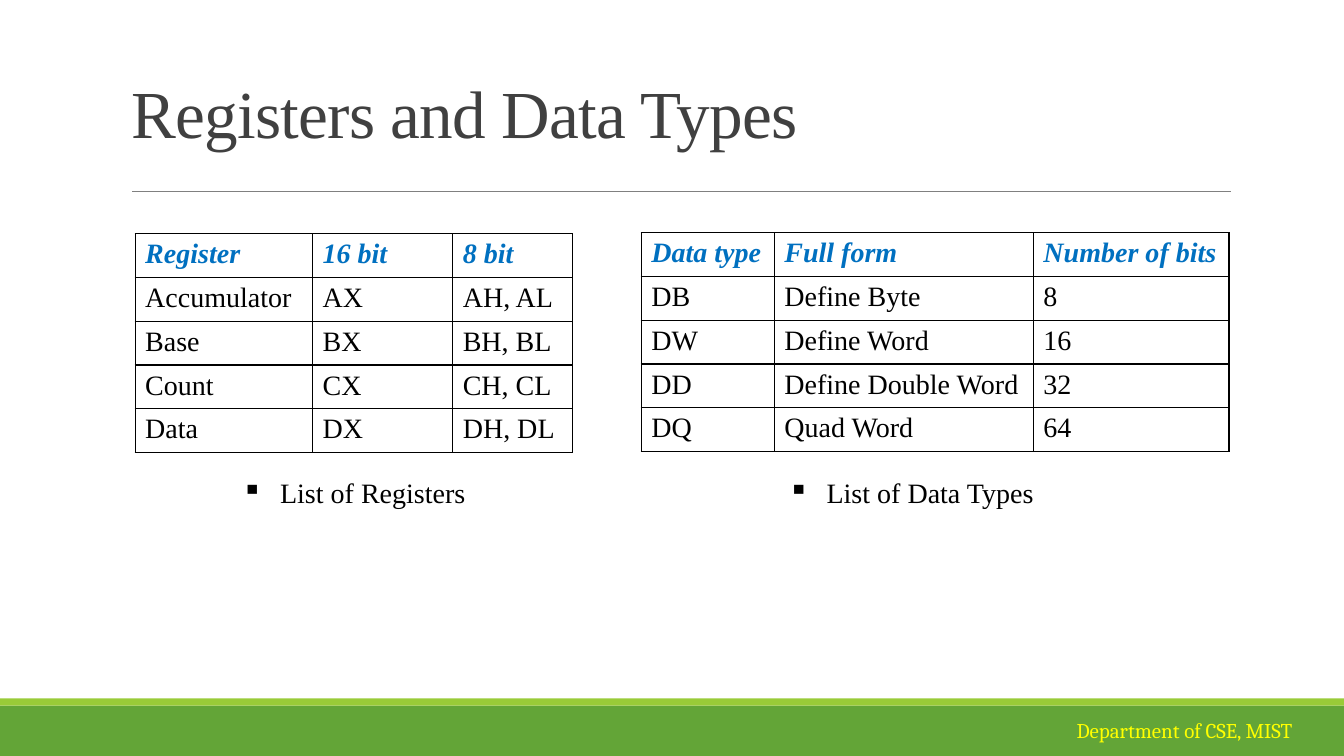
from lxml import etree
from pptx import Presentation
from pptx.dml.color import RGBColor
from pptx.enum.shapes import MSO_CONNECTOR, MSO_SHAPE
from pptx.enum.text import MSO_ANCHOR, MSO_AUTO_SIZE, PP_ALIGN
from pptx.oxml import parse_xml
from pptx.oxml.ns import nsdecls, qn
from pptx.util import Inches, Pt

RECT = MSO_SHAPE.RECTANGLE
STRAIGHT = MSO_CONNECTOR.STRAIGHT
BOTTOM = MSO_ANCHOR.BOTTOM
NO_FIT, GROW = MSO_AUTO_SIZE.NONE, MSO_AUTO_SIZE.SHAPE_TO_FIT_TEXT
LEFT = PP_ALIGN.LEFT

WIDTH, HEIGHT = 13.33, 7.5
SERIF = "Times New Roman"
BLACK, WHITE, BLUE = "000000", "FFFFFF", "0070C0"

REGISTERS = [
    ("Register", "16 bit", "8 bit"),
    ("Accumulator", "AX", "AH, AL"),
    ("Base", "BX", "BH, BL"),
    ("Count", "CX", "CH, CL"),
    ("Data", "DX", "DH, DL"),
]
DATA_TYPES = [
    ("Data type", "Full form", "Number of bits"),
    ("DB", "Define Byte", "8"),
    ("DW", "Define Word", "16"),
    ("DD", "Define Double Word", "32"),
    ("DQ", "Quad Word", "64"),
]


def rgb(color):
    """Turn a hex string into a colour."""
    return RGBColor.from_string(color)


def inches(box):
    """Turn a box given in inches into lengths."""
    return [Inches(v) for v in box]


def write(tf, text, size=20, font=SERIF, color=BLACK, bold=False, italic=False):
    """Write one formatted run into a text frame and return it."""
    p = tf.paragraphs[0]
    p.alignment = LEFT
    r = p.add_run()
    r.text = text
    r.font.size, r.font.name = Pt(size), font
    r.font.bold, r.font.italic = bold, italic
    r.font.color.rgb = rgb(color)
    return r


def add_label(s, box, text, **style):
    """Add an unwrapped text box that grows with its text."""
    tf = s.shapes.add_textbox(*inches(box)).text_frame
    tf.word_wrap = False
    tf.auto_size = GROW
    write(tf, text, **style)
    return tf


def add_caption(s, box, text):
    """Add a bulleted caption."""
    tf = add_label(s, box, text)
    pPr = tf.paragraphs[0]._p.get_or_add_pPr()
    pPr.set("marL", str(Inches(0.38)))
    pPr.set("indent", str(-Inches(0.38)))
    etree.SubElement(pPr, qn("a:buChar")).set("char", "▪")


def add_band(s, box, color):
    """Add a plain filled band."""
    sp = s.shapes.add_shape(RECT, *inches(box))
    sp.shadow.inherit = False
    sp.fill.solid()
    sp.fill.fore_color.rgb = rgb(color)
    sp.line.fill.background()


def add_footer(s, top):
    """Add the two green bands and the department name from a given height down."""
    stripe = 0.07
    add_band(s, (0, top + stripe, WIDTH, HEIGHT - top - stripe), "63A537")
    add_band(s, (0, top, WIDTH, stripe), "99CB38")
    add_label(s, (10.58, top + 2 * stripe, 2.63, 0.35), "Department of CSE, MIST",
              size=15, font="Cambria", color="FFFF00")


def add_title(s, box, text):
    """Fill the title placeholder and rule a line below it."""
    left, top, width, height = box
    sp = s.shapes.title
    sp.left, sp.top, sp.width, sp.height = inches(box)
    tf = sp.text_frame
    tf.word_wrap = True
    tf.auto_size = NO_FIT
    tf.vertical_anchor = BOTTOM
    r = write(tf, text, size=48, color="404040")
    r._r.get_or_add_rPr().set("spc", "-50")
    tf.paragraphs[0].line_spacing = 0.85
    y = top + height + 0.34
    rule = s.shapes.add_connector(
        STRAIGHT, *inches((left + 0.11, y, left + width + 0.01, y)))
    rule.line.color.rgb = rgb("808080")
    rule.line.width = Pt(0.5)
    etree.SubElement(rule._element.spPr, qn("a:effectLst"))


def add_borders(cell):
    """Rule all four sides of a cell."""
    tcPr = cell._tc.get_or_add_tcPr()
    for side in ("lnL", "lnR", "lnT", "lnB"):
        tcPr.append(parse_xml(
            f'<a:{side} {nsdecls("a")} w="{Pt(1)}"><a:solidFill>'
            f'<a:srgbClr val="{BLACK}"/></a:solidFill></a:{side}>'))


def add_grid(s, left, top, widths, rows):
    """Add a ruled table with a blue italic heading row."""
    row_height = 0.434
    box = (left, top, sum(widths), row_height * len(rows))
    table = s.shapes.add_table(len(rows), len(widths), *inches(box)).table
    table.horz_banding = False
    for col, width in zip(table.columns, widths):
        col.width = Inches(width)
    for i, (row, texts) in enumerate(zip(table.rows, rows)):
        row.height = Inches(row_height)
        head = i == 0
        for cell, text in zip(row.cells, texts):
            add_borders(cell)
            cell.fill.solid()
            cell.fill.fore_color.rgb = rgb(WHITE)
            write(cell.text_frame, text, color=BLUE if head else BLACK,
                  bold=head, italic=head)


def main():
    """Build the slide and save it."""
    prs = Presentation()
    prs.slide_width, prs.slide_height = Inches(WIDTH), Inches(HEIGHT)
    s = prs.slides.add_slide(prs.slide_layouts[5])
    add_footer(s, 6.93)
    add_title(s, (1.2, 0.64, 11, 0.92), "Registers and Data Types")
    add_grid(s, 1.34, 2.32, (1.76, 1.39, 1.19), REGISTERS)
    add_grid(s, 6.36, 2.31, (1.32, 2.57, 1.94), DATA_TYPES)
    add_caption(s, (2.3, 4.67, 2.43, 0.44), "List of Registers")
    add_caption(s, (7.72, 4.67, 2.65, 0.44), "List of Data Types")
    prs.save("out.pptx")


if __name__ == "__main__":
    main()
